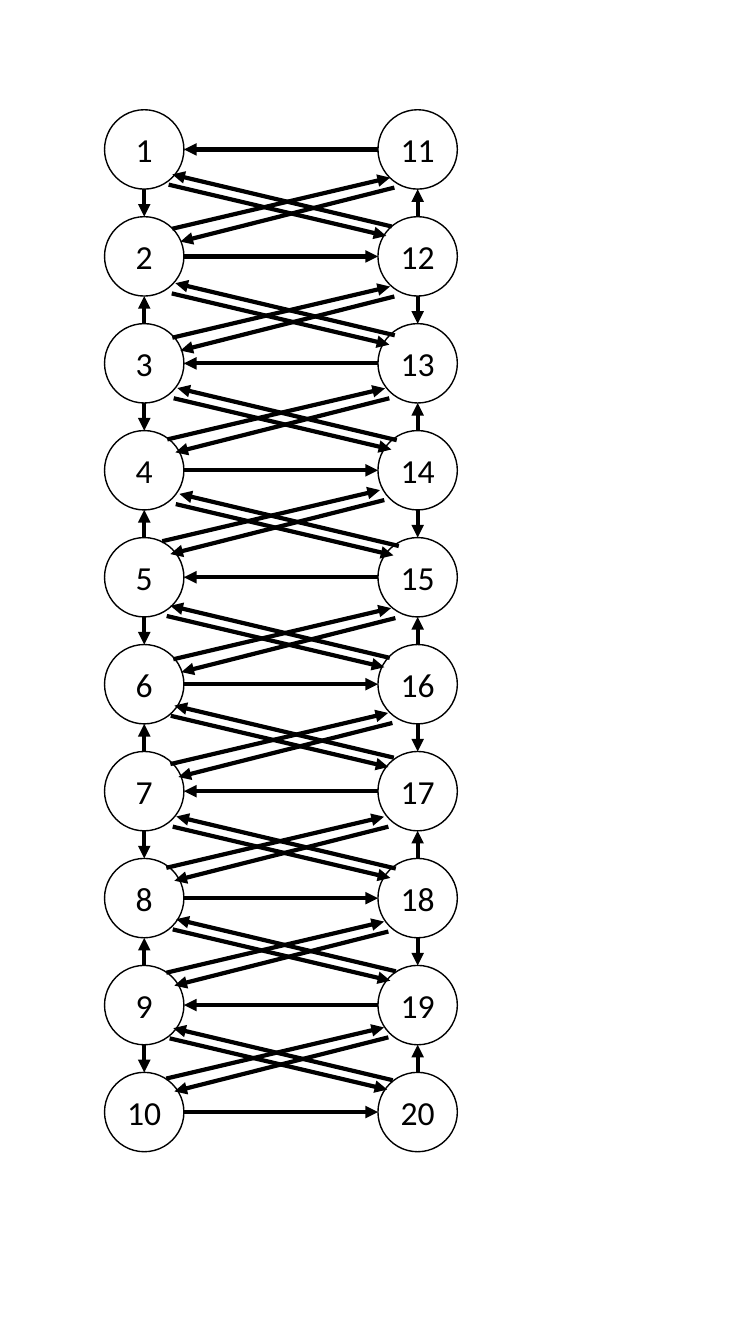
from pptx import Presentation
from pptx.dml.color import RGBColor
from pptx.enum import shapes, text
from pptx.oxml import parse_xml
from pptx.oxml import ns
from pptx.util import Pt

BLACK = RGBColor(0, 0, 0)
WHITE = RGBColor(255, 255, 255)

ROWS = 10
SIZE = 56.7
PITCH = 76.4
LEFT, RIGHT, TOP = 74.7, 270, 78.4

# Left end of the upper line in each pair of crossing arrows, row by row
RISING = [(123.1, 163.4), (123.1, 241.2), (119.5, 313.9),
          (115.9, 386.6), (123.8, 470.9), (121.7, 545.8),
          (118.8, 619.9), (118.8, 694.8), (118.8, 770.4)]
FALLING = [(123.1, 124.6), (125.3, 202.3), (126.7, 277.2),
           (128.2, 352.8), (121.7, 432.7), (124.6, 504),
           (126, 583.2), (126, 656.6), (123.8, 734.4)]

# Start and end of both arrows of a pair, measured from that left end
RISE = [((0, 0), (155.5, -36.5)), ((158.6, -29.4), (5.8, 9.2))]
FALL = [((156.7, 37.2), (0, 0)), ((-2.6, 7.3), (152.8, 43.9))]


class Graph:
    """Draws nodes and arrows on one slide in a single style."""

    def __init__(self, slide):
        self.shapes = slide.shapes
        self.font = "Calibri"
        self.points = Pt(24)
        self.rim = Pt(1)
        self.stroke = Pt(3)

    def node(self, label, x, y):
        oval = self.shapes.add_shape(
            shapes.MSO_SHAPE.OVAL, Pt(x), Pt(y), Pt(SIZE), Pt(SIZE))
        oval.shadow.inherit = False
        oval.fill.solid()
        oval.fill.fore_color.rgb = WHITE
        oval.line.color.rgb = BLACK
        oval.line.width = self.rim
        frame = oval.text_frame
        frame.margin_left = frame.margin_right = 0
        frame.margin_top = frame.margin_bottom = 0
        frame.vertical_anchor = text.MSO_ANCHOR.MIDDLE
        frame.text = label
        par = frame.paragraphs[0]
        par.alignment = text.PP_ALIGN.CENTER
        par.font.name = self.font
        par.font.size = self.points
        par.font.color.rgb = BLACK

    def arrow(self, start, end):
        line = self.shapes.add_connector(
            shapes.MSO_CONNECTOR.STRAIGHT, *map(Pt, start + end))
        line.line.color.rgb = BLACK
        line.line.width = self.stroke
        props = line.line._get_or_add_ln()
        props.append(parse_xml(
            f'<a:tailEnd {ns.nsdecls("a")} type="triangle"/>'))
        props.addnext(parse_xml(f'<a:effectLst {ns.nsdecls("a")}/>'))

    def link(self, first, second, flip):
        """Draw an arrow from first to second, or back if flip is set."""
        if flip:
            first, second = second, first
        self.arrow(first, second)

    def pairs(self, anchors, lines):
        """Draw the same two opposed arrows at every anchor."""
        for x, y in anchors:
            for (x1, y1), (x2, y2) in lines:
                self.arrow((x + x1, y + y1), (x + x2, y + y2))


def main():
    deck = Presentation()
    deck.slide_width, deck.slide_height = Pt(540), Pt(960)
    graph = Graph(deck.slides.add_slide(deck.slide_layouts[6]))

    for col, x in enumerate((LEFT, RIGHT)):
        for row in range(ROWS):
            graph.node(str(col * ROWS + row + 1), x, TOP + row * PITCH)

    for row in range(ROWS):
        even = row % 2 == 0
        mid = TOP + row * PITCH + SIZE / 2
        graph.link((LEFT + SIZE, mid), (RIGHT, mid), even)
        if row < ROWS - 1:
            low, high = mid + SIZE / 2, mid + PITCH - SIZE / 2
            for x, flip in ((LEFT, not even), (RIGHT, even)):
                mid_x = x + SIZE / 2
                graph.link((mid_x, low), (mid_x, high), flip)

    graph.pairs(RISING, RISE)
    graph.pairs(FALLING, FALL)
    deck.save("out.pptx")


if __name__ == "__main__":
    main()
